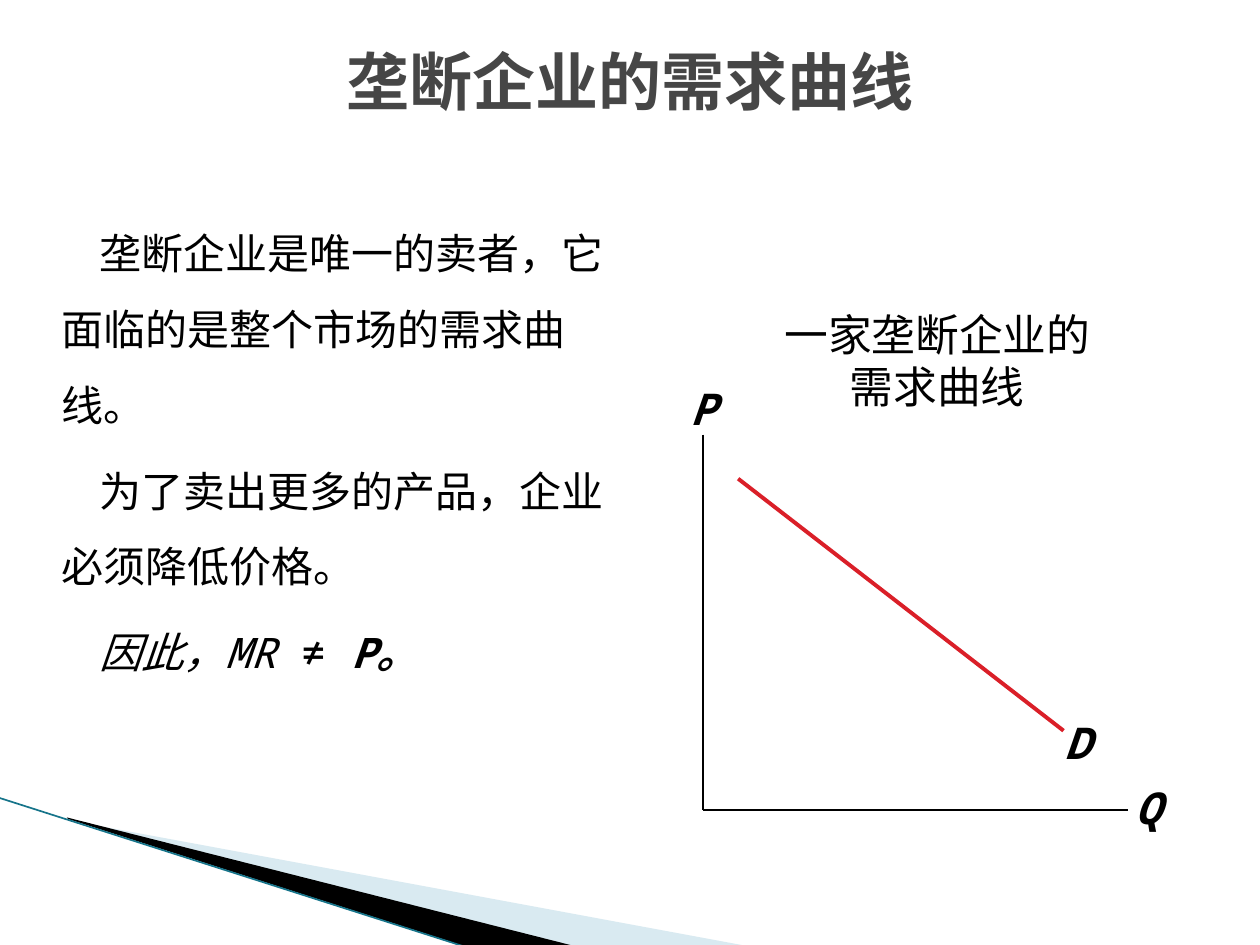
from dataclasses import dataclass

from lxml.etree import SubElement
from pptx import Presentation
from pptx.dml.color import RGBColor
from pptx.enum.shapes import MSO_CONNECTOR
from pptx.enum.text import MSO_ANCHOR, MSO_AUTO_SIZE, PP_ALIGN
from pptx.oxml.ns import qn
from pptx.shapes.shapetree import SlideShapes
from pptx.util import Cm, Pt

FONT = "Noto Sans Mono"
BLACK = RGBColor(0x00, 0x00, 0x00)
GREY = RGBColor(0x46, 0x46, 0x46)
RED = RGBColor(0xDA, 0x1F, 0x28)
PALE_BLUE = RGBColor(0xA0, 0xCB, 0xDC)
TEAL = RGBColor(0x16, 0x74, 0x8A)

Point = tuple[float, float]


@dataclass(frozen=True)
class Wedge:
    corners: tuple[Point, ...]
    color: RGBColor
    opacity: int = 100


@dataclass(frozen=True)
class Stroke:
    start: Point
    end: Point
    color: RGBColor
    width: float


@dataclass(frozen=True)
class Run:
    text: str
    bold: bool = False
    italic: bool = False


@dataclass(frozen=True)
class Passage:
    box: tuple[float, float, float, float]
    paragraphs: tuple[tuple[Run, ...], ...]
    size: float = 25
    color: RGBColor = BLACK
    align: PP_ALIGN = PP_ALIGN.LEFT
    anchor: MSO_ANCHOR = MSO_ANCHOR.TOP
    inset: bool = True
    grow: bool = True
    line_spacing: float = 1.0
    space_before: float = 0
    indent: float = 0


def symbol(letter: str) -> tuple[tuple[Run, ...], ...]:
    return ((Run(letter, bold=True, italic=True),),)


WEDGES = (
    Wedge(((1.4, 16.54), (15.11, 19.08), (11.58, 19.08), (1.4, 16.51)), PALE_BLUE, 40),
    Wedge(((1.35, 16.48), (11.61, 19.08), (9.45, 19.1), (1.37, 16.51)), BLACK),
)

ORIGIN = (14.17, 16.33)
STROKES = (
    Stroke((-0.03, 16.08), (9.42, 19.1), TEAL, 0.95),
    Stroke((14.88, 9.65), (21.44, 14.73), RED, 2.25),
    Stroke((ORIGIN[0], 8.76), ORIGIN, BLACK, 0.75),
    Stroke(ORIGIN, (22.73, ORIGIN[1]), BLACK, 0.75),
)

PASSAGES = (
    Passage((0, 0.71, 25.4, 1.8), ((Run("垄断企业的需求曲线", bold=True),),),
            size=36, color=GREY, align=PP_ALIGN.CENTER,
            anchor=MSO_ANCHOR.MIDDLE, grow=False),
    Passage((0.99, 3.96, 11.43, 13.11), (
        (Run("垄断企业是唯一的卖者，它面临的是整个市场的需求曲线。"),),
        (Run("为了卖出更多的产品，企业必须降低价格。"),),
        (Run("因此，MR", italic=True), Run(" ≠ "), Run("P。", bold=True, italic=True)),
    ), size=24, grow=False, line_spacing=1.5, space_before=6, indent=0.76),
    Passage((21.46, 14.43, 0.84, 1.07), symbol("D"), inset=False),
    Passage((13.51, 7.57, 1.32, 1.32), symbol("P"), align=PP_ALIGN.CENTER),
    Passage((22.63, 15.62, 1.5, 1.32), symbol("Q")),
    Passage((15.16, 6.07, 7.47, 2.39), ((Run("一家垄断企业的需求曲线"),),),
            align=PP_ALIGN.CENTER),
)


def draw_wedge(shapes: SlideShapes, wedge: Wedge) -> None:
    first, *rest = [(Cm(x), Cm(y)) for x, y in wedge.corners]
    builder = shapes.build_freeform(*first)
    builder.add_line_segments(rest, close=True)
    outline = builder.convert_to_shape()
    outline.shadow.inherit = False
    outline.line.fill.background()
    outline.fill.solid()
    outline.fill.fore_color.rgb = wedge.color
    if wedge.opacity < 100:
        tint = outline.fill._xPr.find(qn("a:solidFill"))[0]
        SubElement(tint, qn("a:alpha")).set("val", str(wedge.opacity * 1000))


def draw_stroke(shapes: SlideShapes, stroke: Stroke) -> None:
    ends = [Cm(value) for value in stroke.start + stroke.end]
    connector = shapes.add_connector(MSO_CONNECTOR.STRAIGHT, *ends)
    connector.line.color.rgb = stroke.color
    connector.line.width = Pt(stroke.width)
    SubElement(connector._element.spPr, qn("a:effectLst"))


def draw_passage(shapes: SlideShapes, passage: Passage) -> None:
    frame = shapes.add_textbox(*[Cm(value) for value in passage.box]).text_frame
    frame.word_wrap = True
    frame.vertical_anchor = passage.anchor
    frame.auto_size = (MSO_AUTO_SIZE.SHAPE_TO_FIT_TEXT if passage.grow
                       else MSO_AUTO_SIZE.NONE)
    if not passage.inset:
        frame.margin_left = frame.margin_right = Cm(0)
        frame.margin_top = frame.margin_bottom = Cm(0)
    for index, runs in enumerate(passage.paragraphs):
        paragraph = frame.add_paragraph() if index else frame.paragraphs[0]
        paragraph.alignment = passage.align
        paragraph.line_spacing = passage.line_spacing
        paragraph.space_before = Pt(passage.space_before)
        if passage.indent:
            paragraph._p.get_or_add_pPr().set("indent", str(Cm(passage.indent)))
        for part in runs:
            run = paragraph.add_run()
            run.text = part.text
            run.font.name = FONT
            run.font.size = Pt(passage.size)
            run.font.bold = part.bold
            run.font.italic = part.italic
            run.font.color.rgb = passage.color
            SubElement(run._r.get_or_add_rPr(), qn("a:ea")).set("typeface", FONT)


def main() -> None:
    deck = Presentation()
    deck.slide_width, deck.slide_height = Cm(25.4), Cm(19.05)
    shapes = deck.slides.add_slide(deck.slide_layouts[6]).shapes
    for wedge in WEDGES:
        draw_wedge(shapes, wedge)
    for stroke in STROKES:
        draw_stroke(shapes, stroke)
    for passage in PASSAGES:
        draw_passage(shapes, passage)
    deck.save("out.pptx")


if __name__ == "__main__":
    main()
